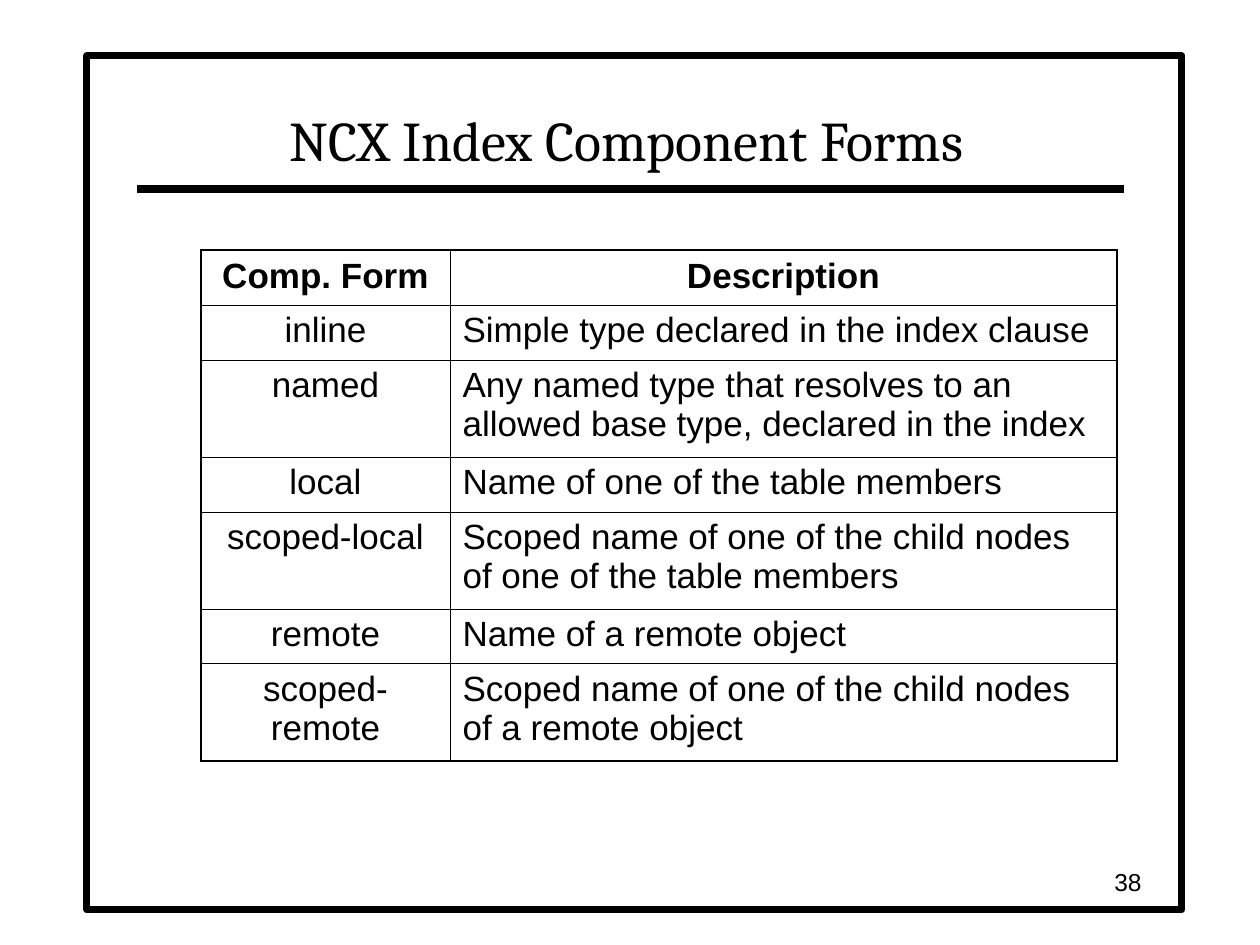
from lxml import etree
from pptx import Presentation, util as u
from pptx.dml.color import RGBColor
from pptx.enum import shapes, text
from pptx.oxml.ns import qn

BLACK = RGBColor(0, 0, 0)
WHITE = RGBColor(255, 255, 255)
PX_PER_INCH = 126
THIN, THICK = 0.45, 1.08

CENTER, LEFT, RIGHT = (text.PP_ALIGN.CENTER, text.PP_ALIGN.LEFT,
                       text.PP_ALIGN.RIGHT)
TOP, MIDDLE, BOTTOM = (text.MSO_ANCHOR.TOP, text.MSO_ANCHOR.MIDDLE,
                       text.MSO_ANCHOR.BOTTOM)

COMPONENT_FORMS = [
    ("Comp. Form", "Description"),
    ("inline", "Simple type declared in the index clause"),
    ("named", "Any named type that resolves to an allowed base type, "
              "declared in the index"),
    ("local", "Name of one of the table members"),
    ("scoped-local", "Scoped name of one of the child nodes of one of "
                     "the table members"),
    ("remote", "Name of a remote object"),
    ("scoped-remote", "Scoped name of one of the child nodes of a remote "
                      "object"),
]
ONE_LINE, TWO_LINES = 55, 97
ROW_HEIGHTS = [ONE_LINE, ONE_LINE, TWO_LINES, ONE_LINE,
               TWO_LINES, ONE_LINE, TWO_LINES]
COLUMN_WIDTHS = [249, 667]


def px(length):
    return u.Emu(round(length * u.Inches(1) / PX_PER_INCH))


def write(frame, words, *, size, font="Arial", bold=False, align=LEFT):
    paragraph = frame.paragraphs[0]
    paragraph.alignment = align
    run = paragraph.add_run()
    run.text = words
    run.font.name = font
    run.font.size = u.Pt(size)
    run.font.bold = bold
    run.font.color.rgb = BLACK


def set_borders(cell, **widths):
    """Draw cell borders; widths in points are keyed by L, R, T and B."""
    properties = cell._tc.get_or_add_tcPr()
    for position, side in enumerate("LRTB"):
        border = etree.Element(qn(f"a:ln{side}"),
                               w=str(u.Pt(widths[side])))
        fill = etree.SubElement(border, qn("a:solidFill"))
        etree.SubElement(fill, qn("a:srgbClr"), val=str(BLACK))
        properties.insert(position, border)


class SlideBuilder:
    def __init__(self, slide):
        self.slide = slide
        self.shapes = slide.shapes

    def frame(self, left, top, width, height, weight):
        border = self.shapes.add_shape(
            shapes.MSO_SHAPE.RECTANGLE,
            px(left), px(top), px(width), px(height))
        border.shadow.inherit = False
        border.fill.solid()
        border.fill.fore_color.rgb = WHITE
        border.line.color.rgb = BLACK
        border.line.width = u.Pt(weight)

    def rule(self, left, right, y, weight):
        line = self.shapes.add_connector(
            shapes.MSO_CONNECTOR.STRAIGHT, px(left), px(y), px(right), px(y))
        line.line.color.rgb = BLACK
        line.line.width = u.Pt(weight)
        etree.SubElement(line._element.spPr, qn("a:effectLst"))

    def title(self, words, left, top, width, height):
        """Fill the title placeholder and bring it in front of the frame."""
        heading = self.shapes.title
        heading.left, heading.top = px(left), px(top)
        heading.width, heading.height = px(width), px(height)
        heading.text_frame.auto_size = text.MSO_AUTO_SIZE.NONE
        heading.text_frame.vertical_anchor = BOTTOM
        write(heading.text_frame, words, size=32, font="Cambria",
              align=CENTER)
        self.shapes._spTree.append(heading._element)

    def label(self, words, left, top, width, height, **style):
        box = self.shapes.add_textbox(
            px(left), px(top), px(width), px(height))
        box.text_frame.word_wrap = True
        box.text_frame.vertical_anchor = MIDDLE
        write(box.text_frame, words, **style)

    def table(self, rows, left, top, widths, heights):
        grid = self.shapes.add_table(
            len(rows), len(widths), px(left), px(top),
            px(sum(widths)), px(sum(heights))).table
        grid.horz_banding = False
        for column, width in zip(grid.columns, widths):
            column.width = px(width)
        last_row, last_column = len(rows) - 1, len(widths) - 1
        for r, (entries, height) in enumerate(zip(rows, heights)):
            grid.rows[r].height = px(height)
            for c, words in enumerate(entries):
                cell = grid.cell(r, c)
                cell.fill.background()
                cell.vertical_anchor = TOP
                write(cell.text_frame, words, size=20, bold=r == 0,
                      align=CENTER if r == 0 or c == 0 else LEFT)
                set_borders(cell,
                            L=THICK if c == 0 else THIN,
                            R=THICK if c == last_column else THIN,
                            T=THICK if r == 0 else THIN,
                            B=THICK if r == last_row else THIN)


def main():
    deck = Presentation()
    deck.slide_width, deck.slide_height = u.Inches(10), u.Inches(7.5)
    builder = SlideBuilder(deck.slides.add_slide(deck.slide_layouts[5]))
    builder.frame(87, 56, 1095, 854, weight=4)
    builder.rule(137, 1124, 189, weight=4.5)
    builder.title("NCX Index Component Forms", 136, 63, 982, 116)
    builder.table(COMPONENT_FORMS, 201, 250, COLUMN_WIDTHS, ROW_HEIGHTS)
    builder.label("38", 892, 861, 262, 42, size=14, align=RIGHT)
    deck.save("out.pptx")


if __name__ == "__main__":
    main()
